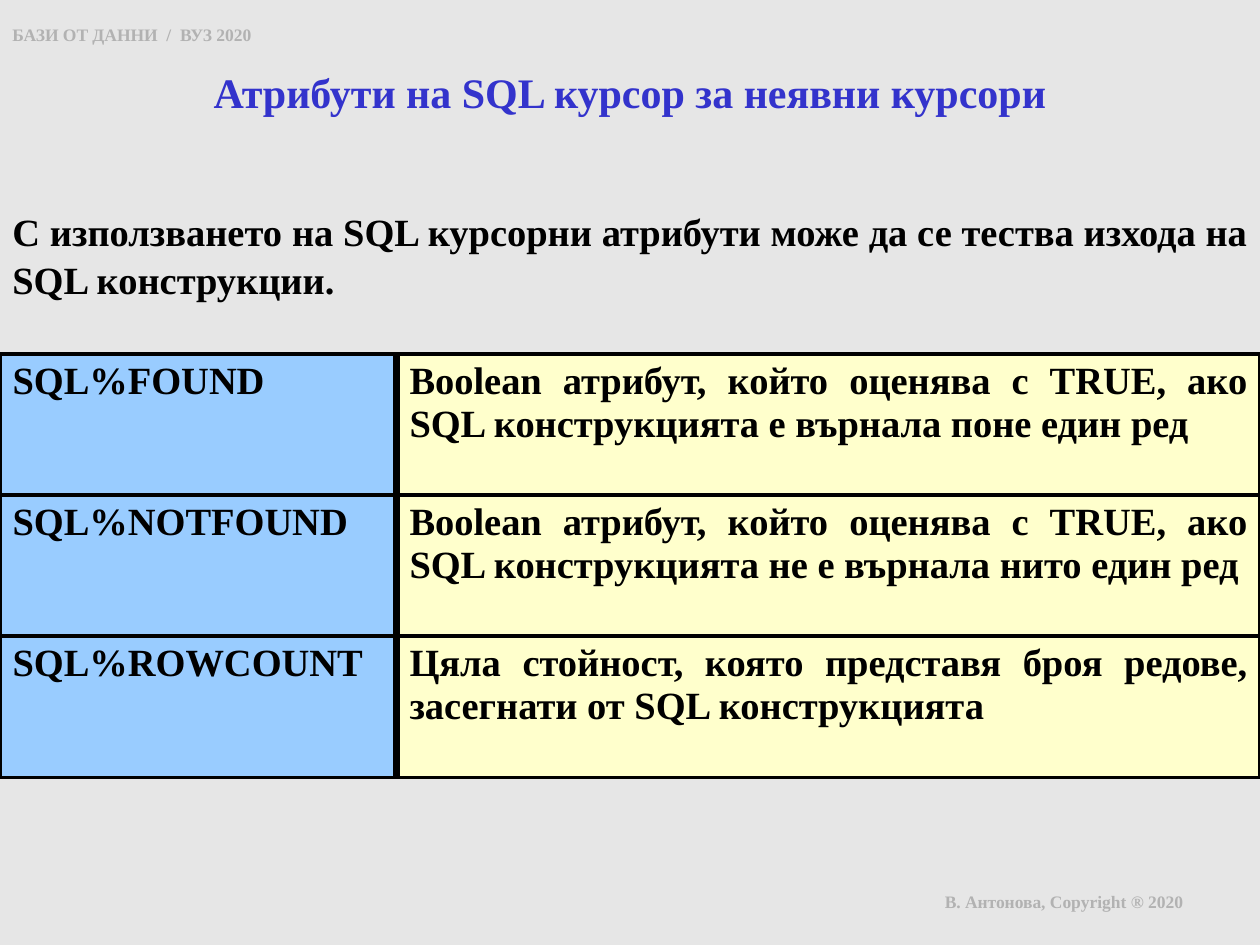
from dataclasses import dataclass

from lxml import etree
from pptx import Presentation
from pptx.dml.color import RGBColor
from pptx.enum.text import MSO_ANCHOR, PP_ALIGN
from pptx.oxml.ns import qn
from pptx.util import Inches, Pt

LEFT, CENTER, JUSTIFY = PP_ALIGN.LEFT, PP_ALIGN.CENTER, PP_ALIGN.JUSTIFY
TOP = MSO_ANCHOR.TOP
BLANK_LAYOUT = 6


@dataclass(frozen=True)
class Theme:
    font: str = "Times New Roman"
    background: str = "E6E6E6"
    muted: str = "B2B2B2"
    title: str = "3333CC"
    ink: str = "000000"
    name_fill: str = "99CCFF"
    meaning_fill: str = "FFFFCC"
    note_size: float = 10
    title_size: float = 24
    body_size: float = 22
    thin: float = 2.25
    thick: float = 4.5


class SlideBuilder:
    def __init__(self, slide, theme):
        self.slide = slide
        self.theme = theme
        background = slide.background.fill
        background.solid()
        background.fore_color.rgb = RGBColor.from_string(theme.background)

    def add_wording(self, frame, wording, size, color, align=LEFT,
                    line_spacing=None):
        paragraph = frame.paragraphs[0]
        paragraph.alignment = align
        paragraph.line_spacing = line_spacing
        run = paragraph.add_run()
        run.text = wording
        run.font.name = self.theme.font
        run.font.size = Pt(size)
        run.font.bold = True
        run.font.color.rgb = RGBColor.from_string(color)

    def text(self, left, top, width, height, wording, size, color, **layout):
        box = self.slide.shapes.add_textbox(
            Inches(left), Inches(top), Inches(width), Inches(height))
        box.text_frame.word_wrap = True
        self.add_wording(box.text_frame, wording, size, color, **layout)

    def borders(self, cell, widths):
        """Draw solid borders; widths maps a side (L, R, T, B) to points."""
        properties = cell._tc.get_or_add_tcPr()
        for position, (side, width) in enumerate(widths.items()):
            line = etree.Element(qn(f"a:ln{side}"), w=str(Pt(width)))
            fill = etree.SubElement(line, qn("a:solidFill"))
            etree.SubElement(fill, qn("a:srgbClr"), val=self.theme.ink)
            properties.insert(position, line)

    def table(self, left, top, column_widths, row_height, rows):
        theme = self.theme
        table = self.slide.shapes.add_table(
            len(rows), len(column_widths), Inches(left), Inches(top),
            Inches(sum(column_widths)), Inches(row_height * len(rows))).table
        table.first_row = table.horz_banding = False
        for column, width in zip(table.columns, column_widths):
            column.width = Inches(width)
        column_styles = (
            (theme.name_fill, LEFT, theme.thin, theme.thick),
            (theme.meaning_fill, JUSTIFY, theme.thick, theme.thin),
        )
        for row, wordings in zip(table.rows, rows):
            row.height = Inches(row_height)
            for cell, wording, style in zip(row.cells, wordings, column_styles):
                color, align, left_line, right_line = style
                cell.vertical_anchor = TOP
                cell.fill.solid()
                cell.fill.fore_color.rgb = RGBColor.from_string(color)
                self.add_wording(cell.text_frame, wording, theme.body_size,
                                 theme.ink, align)
                self.borders(cell, {"L": left_line, "R": right_line,
                                    "T": theme.thin, "B": theme.thin})


def main():
    presentation = Presentation()
    presentation.slide_width = Inches(10)
    presentation.slide_height = Inches(7.5)
    theme = Theme()
    slide = presentation.slides.add_slide(
        presentation.slide_layouts[BLANK_LAYOUT])
    builder = SlideBuilder(slide, theme)

    builder.text(0, 0.14, 2.99, 0.27, "БАЗИ ОТ ДАННИ  /  ВУЗ 2020",
                 theme.note_size, theme.muted)
    builder.text(7.4, 7.02, 2.6, 0.42, "В. Антонова, Copyright ® 2020",
                 theme.note_size, theme.muted)
    builder.text(0.67, 0.48, 8.66, 0.59,
                 "Атрибути на SQL курсор за неявни курсори",
                 theme.title_size, theme.title, align=CENTER)
    builder.text(0, 1.58, 10, 1.02,
                 "С използването на SQL курсорни атрибути може да се тества "
                 "изхода на SQL конструкции.",
                 theme.body_size, theme.ink, align=JUSTIFY, line_spacing=1.05)
    builder.table(0, 2.81, (3.15, 6.85), 1.12, (
        ("SQL%FOUND",
         "Boolean атрибут, който оценява с TRUE, ако SQL конструкцията "
         "е върнала поне един ред"),
        ("SQL%NOTFOUND",
         "Boolean атрибут, който оценява с TRUE, ако SQL конструкцията "
         "не е върнала нито един ред"),
        ("SQL%ROWCOUNT",
         "Цяла стойност, която представя броя редове, засегнати от "
         "SQL конструкцията"),
    ))
    presentation.save("out.pptx")


if __name__ == "__main__":
    main()
